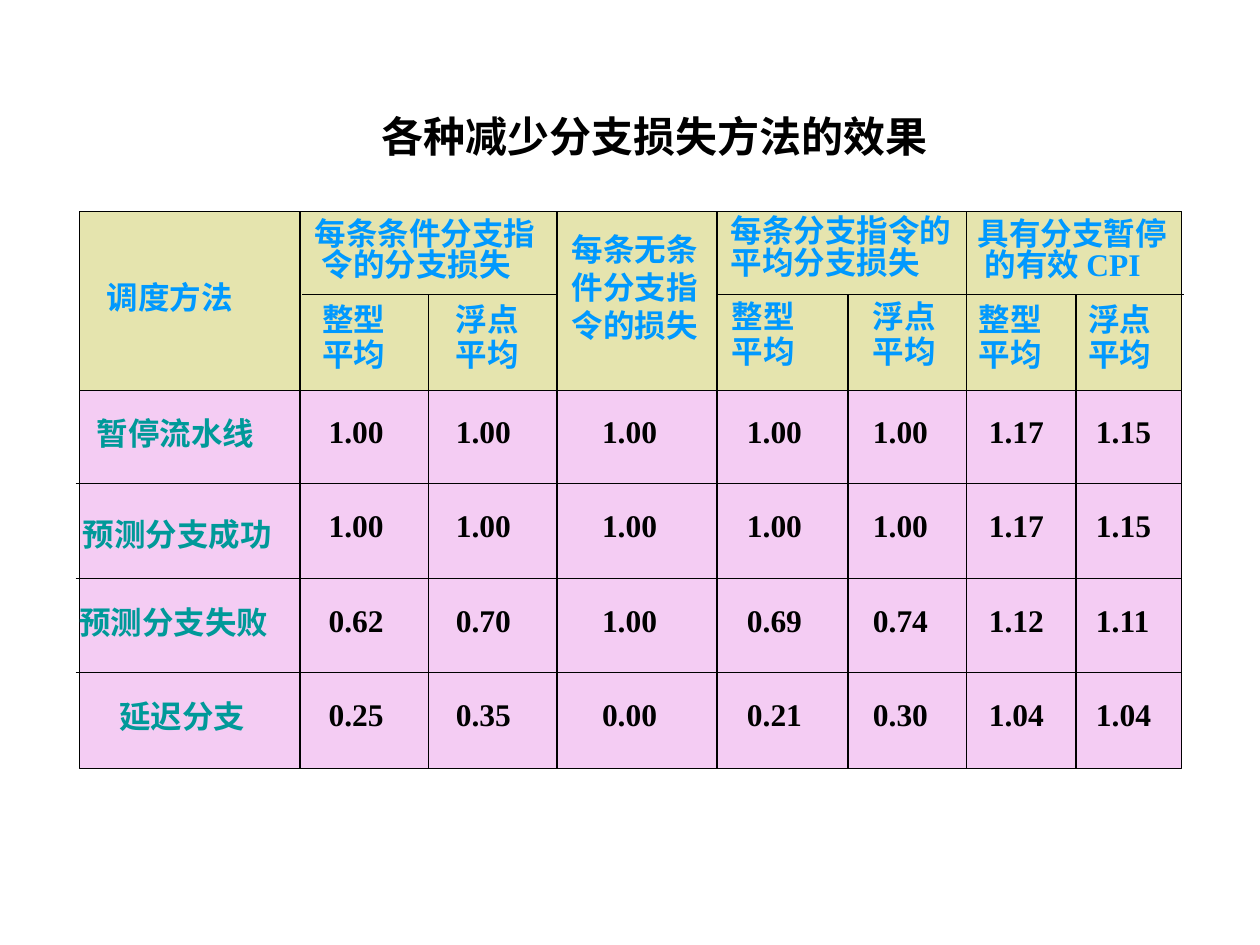
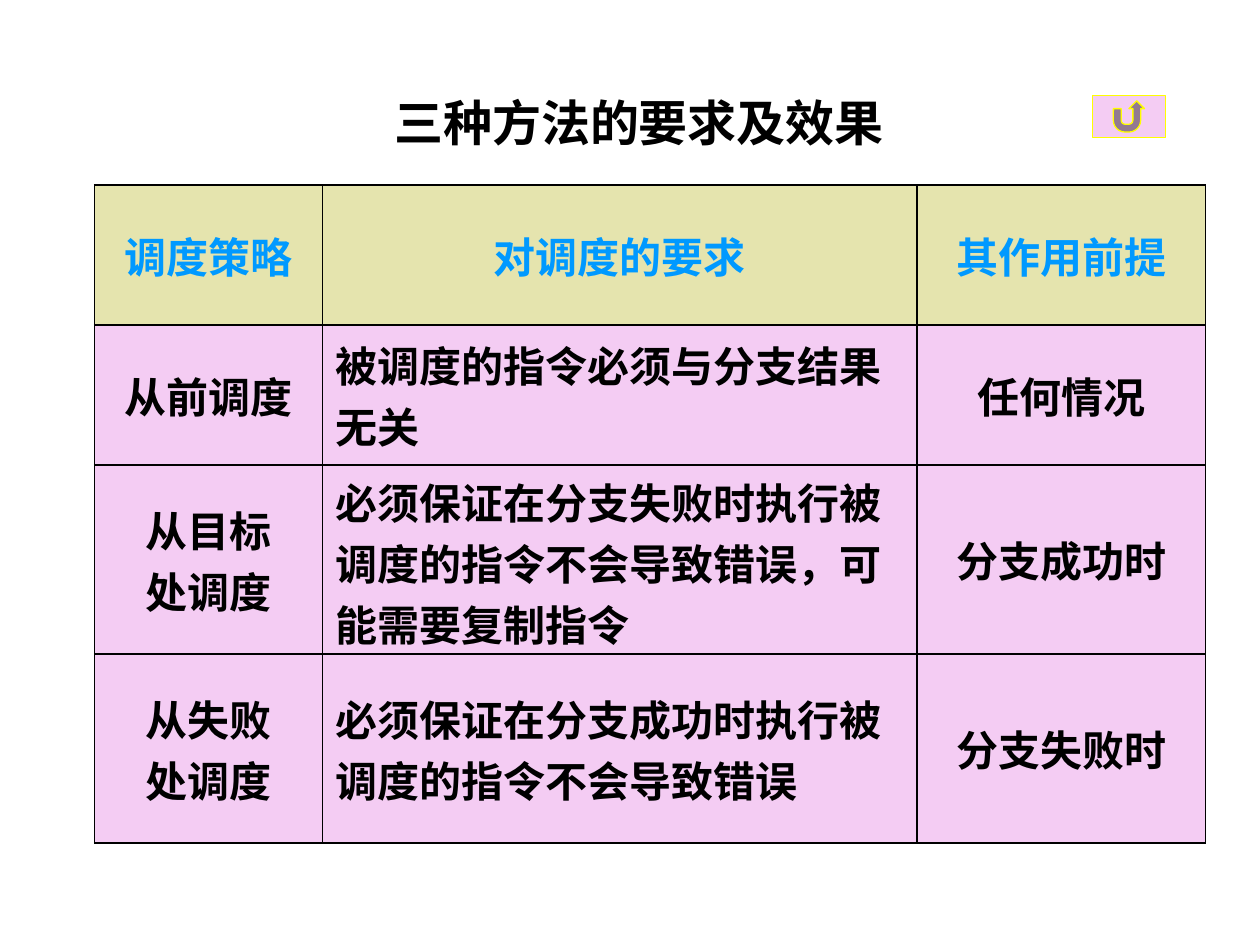
import pptx
import pptx.dml.color
import pptx.enum.shapes
import pptx.enum.text
import pptx.oxml.ns
import pptx.util
import lxml.etree

Inches = pptx.util.Inches
Pt = pptx.util.Pt
RGBColor = pptx.dml.color.RGBColor
ALIGN = pptx.enum.text.PP_ALIGN
MSO_SHAPE = pptx.enum.shapes.MSO_SHAPE
MIDDLE = pptx.enum.text.MSO_ANCHOR.MIDDLE
qn = pptx.oxml.ns.qn

BLACK = RGBColor(0x00, 0x00, 0x00)
BLUE = RGBColor(0x00, 0x99, 0xFF)
TEAL = RGBColor(0x00, 0x99, 0x99)
PINK = RGBColor(0xF4, 0xCC, 0xF3)
KHAKI = RGBColor(0xE5, 0xE4, 0xAE)
YELLOW = RGBColor(0xFF, 0xFF, 0x00)

SERIF = "Times New Roman"
SANS = "Arial"
CHINESE = "Noto Sans CJK SC"
TITLE_ONLY = 5

# Positions in the effect grid are offsets from its top left corner.
# "\v" is a line break, "\n" starts a new paragraph.
HEADER_HEIGHT, SUBHEADER_TOP, ROW_PITCH = 1.42, 0.66, 0.75
FULL_COLUMNS = [1.75, 3.79, 5.06, 7.04]
SPLIT_COLUMNS = [2.77, 6.1, 7.91]
SUBHEADER_RULES = [(1.77, 3.79), (5.06, 8.77)]
# text, left, top, width, height, line spacing
HEADERS = [
    ("调度方法", 0.12, 0.53, 1.57, 0.4, 0.83),
    ("每条条件分支指\v 令的分支损失", 1.77, 0.02, 2.13, 0.7, 0.83),
    ("每条无条\v件分支指\v令的损失", 3.81, 0.1, 1.25, 1.18, 1.0),
    ("每条分支指令的\v平均分支损失", 5.07, 0, 1.98, 0.7, 0.83),
    ("具有分支暂停\v 的有效 CPI", 7.03, 0.02, 1.82, 0.7, 0.83),
]
INTEGER, FLOAT = "整型\v平均", "浮点\v平均"
SUBHEADERS = [
    (INTEGER, 1.83, 0.68), (FLOAT, 2.89, 0.68),
    (INTEGER, 5.08, 0.66), (FLOAT, 6.2, 0.66),
    (INTEGER, 7.04, 0.68), (FLOAT, 7.91, 0.68),
]
METHODS = [
    ("暂停流水线", 0.04, 1.61), ("预测分支成功", -0.07, 2.41),
    ("预测分支失败", -0.1, 3.11), ("延迟分支", 0.22, 3.85),
]
VALUE_LEFTS = [1.88, 2.89, 4.05, 5.2, 6.2, 7.12, 7.97]
VALUE_TOP = 1.51
VALUES = [
    ["1.00", "1.00", "1.00", "1.00", "1.00", "1.17", "1.15"],
    ["1.00", "1.00", "1.00", "1.00", "1.00", "1.17", "1.15"],
    ["0.62", "0.70", "1.00", "0.69", "0.74", "1.12", "1.11"],
    ["0.25", "0.35", "0.00", "0.21", "0.30", "1.04", "1.04"],
]

STRATEGY_COLUMNS = [1.81, 4.72, 2.29]
STRATEGY_ROWS = [1.11, 1.11, 1.5, 1.5]
STRATEGY_DATA = [
    ["调度策略", "对调度的要求", "其作用前提"],
    ["从前调度", "被调度的指令必须与分支结果无关", "任何情况"],
    ["从目标\n处调度", "必须保证在分支失败时执行被调度的指令不会导致错误，可能需要复制指令", "分支成功时"],
    ["从失败\n处调度", "必须保证在分支成功时执行被调度的指令不会导致错误", "分支失败时"],
]


def format_text(text_frame, size, color, latin, alignment, spacing=1.0):
    """Give every paragraph of a text frame one bold style."""
    for paragraph in text_frame.paragraphs:
        paragraph.alignment = alignment
        paragraph.line_spacing = spacing
        paragraph.space_before = Pt(0)
        font = paragraph.font
        font.size, font.bold, font.name = Pt(size), True, latin
        font.color.rgb = color
        properties = paragraph._p.pPr.find(qn("a:defRPr"))
        lxml.etree.SubElement(properties, qn("a:ea"), typeface=CHINESE)


def add_title(slide, text, box, size, font_name, alignment):
    """Move the title placeholder to the box and fill it."""
    title = slide.shapes.title
    title.left, title.top, title.width, title.height = map(Inches, box)
    frame = title.text_frame
    frame.text = text
    frame.word_wrap = True
    frame.auto_size = pptx.enum.text.MSO_AUTO_SIZE.NONE
    frame.vertical_anchor = MIDDLE
    format_text(frame, size, BLACK, font_name, alignment)


def add_box(shapes, kind, box, fill, line):
    """Add a filled, thinly outlined preset shape."""
    shape = shapes.add_shape(kind, *map(Inches, box))
    shape.shadow.inherit = False
    shape.fill.solid()
    shape.fill.fore_color.rgb = fill
    shape.line.color.rgb = line
    shape.line.width = Pt(0.75)


def add_rule(shapes, start_x, start_y, end_x, end_y):
    """Add a thin black line without a shadow."""
    rule = shapes.add_connector(
        pptx.enum.shapes.MSO_CONNECTOR.STRAIGHT,
        *map(Inches, (start_x, start_y, end_x, end_y)))
    rule.line.color.rgb = BLACK
    rule.line.width = Pt(0.75)
    lxml.etree.SubElement(rule._element.spPr, qn("a:effectLst"))


def add_label(shapes, text, box, color, spacing, wrap=True):
    """Add a left-aligned label of the effect grid."""
    frame = shapes.add_textbox(*map(Inches, box)).text_frame
    frame.text = text
    frame.word_wrap = wrap
    format_text(frame, 18, color, SERIF, ALIGN.LEFT, spacing)


def add_effect_rules(shapes, left, top, width, height):
    """Rule the effect grid into rows and columns."""
    for index in range(1, len(VALUES)):
        y = top + HEADER_HEIGHT + index * ROW_PITCH - 0.01
        add_rule(shapes, left - 0.03, y, left + width, y)
    for x in FULL_COLUMNS:
        add_rule(shapes, left + x, top, left + x, top + height)
    for x in SPLIT_COLUMNS:
        add_rule(shapes, left + x, top + SUBHEADER_TOP, left + x, top + height)
    for start, end in SUBHEADER_RULES:
        y = top + SUBHEADER_TOP
        add_rule(shapes, left + start, y, left + end, y)


def add_effect_grid(slide, left, top, width, height):
    """Draw the branch penalty grid with its two-level header."""
    shapes = slide.shapes.add_group_shape().shapes
    add_box(shapes, MSO_SHAPE.RECTANGLE, (left, top, width, height), PINK, BLACK)
    add_box(shapes, MSO_SHAPE.RECTANGLE, (left, top, width, HEADER_HEIGHT), KHAKI, BLACK)
    add_effect_rules(shapes, left, top, width, height)
    for text, x, y, label_width, label_height, spacing in HEADERS:
        add_label(shapes, text, (left + x, top + y, label_width, label_height), BLUE, spacing)
    for text, x, y in SUBHEADERS:
        add_label(shapes, text, (left + x, top + y, 0.84, 0.76), BLUE, 0.92)
    for text, x, y in METHODS:
        add_label(shapes, text, (left + x, top + y, 1.8, 0.4), TEAL, 0.83)
    for row_index, row in enumerate(VALUES):
        y = top + VALUE_TOP + row_index * ROW_PITCH
        for text, x in zip(row, VALUE_LEFTS):
            add_label(shapes, text, (left + x, y, 0.64, 0.43), BLACK, 1.1, wrap=False)


def add_borders(cell):
    """Draw a black line on each side of a cell; call before filling it."""
    properties = cell._tc.get_or_add_tcPr()
    for side in ("lnL", "lnR", "lnT", "lnB"):
        line = lxml.etree.SubElement(properties, qn(f"a:{side}"), w=str(Pt(1)))
        fill = lxml.etree.SubElement(line, qn("a:solidFill"))
        lxml.etree.SubElement(fill, qn("a:srgbClr"), val=str(BLACK))


def add_strategy_table(slide, left, top):
    """Add the ruled table of scheduling strategies."""
    table = slide.shapes.add_table(
        len(STRATEGY_ROWS), len(STRATEGY_COLUMNS), Inches(left), Inches(top),
        Inches(sum(STRATEGY_COLUMNS)), Inches(sum(STRATEGY_ROWS))).table
    table.first_row = table.horz_banding = False
    for column, width in zip(table.columns, STRATEGY_COLUMNS):
        column.width = Inches(width)
    for row_index, (row, height) in enumerate(zip(table.rows, STRATEGY_ROWS)):
        row.height = Inches(height)
        is_header = row_index == 0
        for column_index, cell in enumerate(row.cells):
            cell.text = STRATEGY_DATA[row_index][column_index]
            cell.vertical_anchor = MIDDLE
            cell.margin_top = cell.margin_bottom = 0
            add_borders(cell)
            cell.fill.solid()
            cell.fill.fore_color.rgb = KHAKI if is_header else PINK
            is_requirement = column_index == 1 and not is_header
            format_text(cell.text_frame, 24, BLUE if is_header else BLACK, SANS,
                        ALIGN.LEFT if is_requirement else ALIGN.CENTER)
    table.cell(2, 1).margin_top = Inches(0.04)


def main():
    """Build both slides and save them."""
    presentation = pptx.Presentation()
    presentation.slide_width, presentation.slide_height = Inches(10), Inches(7.5)
    layout = presentation.slide_layouts[TITLE_ONLY]

    slide = presentation.slides.add_slide(layout)
    add_title(slide, "各种减少分支损失方法的效果 ", (2.48, 0.83, 5.51, 0.5), 24, CHINESE, ALIGN.CENTER)
    add_effect_grid(slide, 0.63, 1.68, 8.75, 4.42)

    slide = presentation.slides.add_slide(layout)
    add_box(slide.shapes, MSO_SHAPE.ACTION_BUTTON_RETURN, (8.67, 0.76, 0.58, 0.33), PINK, YELLOW)
    add_title(slide, "三种方法的要求及效果", (3.03, 0.68, 4.65, 0.57), 28, SANS, ALIGN.LEFT)
    add_strategy_table(slide, 0.75, 1.47)

    presentation.save("out.pptx")


main()
